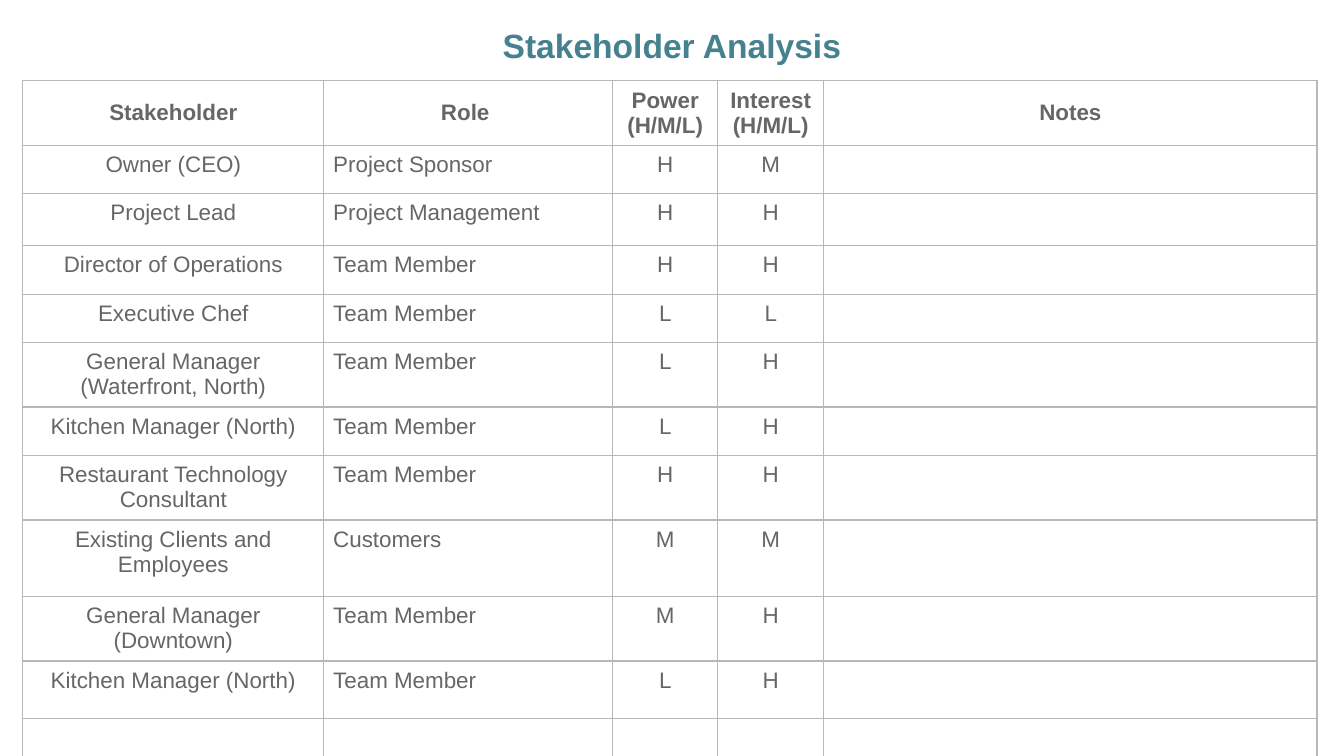
from dataclasses import dataclass
from typing import NamedTuple

from lxml.etree import SubElement
from pptx import Presentation
from pptx.dml.color import RGBColor
from pptx.enum.text import MSO_ANCHOR, PP_ALIGN
from pptx.oxml.ns import qn
from pptx.util import Inches, Pt


@dataclass(frozen=True)
class Theme:
    font: str = "Arial"
    title: str = "45818E"
    text: str = "666666"
    line: str = "B7B7B7"
    head_size: int = 18
    body_size: int = 12
    rule: float = 0.75


class Row(NamedTuple):
    name: str = ""
    role: str = ""
    power: str = ""
    interest: str = ""
    notes: str = ""
    height: float = 0.36


THEME = Theme()
WIDTHS = (2.24, 2.15, 0.78, 0.79, 3.67)
ROWS = (
    Row("Stakeholder", "Role ", "Power (H/M/L)", "Interest (H/M/L)", "Notes", 0.48),
    Row("Owner (CEO)", "Project Sponsor", "H", "M"),
    Row("Project Lead", "Project Management", "H", "H", height=0.39),
    Row("Director of Operations", "Team Member", "H", "H"),
    Row("Executive Chef", "Team Member", "L", "L"),
    Row("General Manager (Waterfront, North)", "Team Member", "L", "H", height=0.48),
    Row("Kitchen Manager (North)", "Team Member", "L", "H"),
    Row("Restaurant Technology Consultant", "Team Member", "H", "H", height=0.48),
    Row("Existing Clients and Employees", "Customers", "M", "M", height=0.57),
    Row("General Manager (Downtown)", "Team Member", "M", "H", height=0.48),
    Row("Kitchen Manager (North)", "Team Member", "L", "H", height=0.43),
    Row(height=0.43),
    Row(height=0.43),
)


def style(par, size: int, color: str, bold: bool, align) -> None:
    par.alignment = align
    font = par.font
    font.name, font.size, font.bold = THEME.font, Pt(size), bold
    font.color.rgb = RGBColor.from_string(color)


def frame(cell) -> None:
    """Rule all four sides of a cell; borders come before the fill."""
    props = cell._tc.get_or_add_tcPr()
    for side in ("lnL", "lnR", "lnT", "lnB"):
        line = SubElement(props, qn(f"a:{side}"), w=str(Pt(THEME.rule)))
        fill = SubElement(line, qn("a:solidFill"))
        SubElement(fill, qn("a:srgbClr"), val=THEME.line)
    cell.fill.background()


def fill_cell(cell, text: str, head: bool, left: bool) -> None:
    cell.margin_left = cell.margin_right = Inches(0.07)
    cell.margin_top = cell.margin_bottom = Inches(0.05)
    cell.vertical_anchor = MSO_ANCHOR.MIDDLE if head else MSO_ANCHOR.TOP
    cell.text = text
    align = PP_ALIGN.LEFT if left else PP_ALIGN.CENTER
    style(cell.text_frame.paragraphs[0], THEME.body_size, THEME.text, head, align)
    frame(cell)


def add_grid(slide) -> None:
    high = sum(row.height for row in ROWS)
    grid = slide.shapes.add_table(
        len(ROWS), len(WIDTHS), Inches(0.17), Inches(0.6),
        Inches(sum(WIDTHS)), Inches(high)).table
    grid.first_row = grid.horz_banding = False
    for col, width in zip(grid.columns, WIDTHS):
        col.width = Inches(width)
    for r, row in enumerate(ROWS):
        grid.rows[r].height = Inches(row.height)
        for c, text in enumerate(row[:len(WIDTHS)]):
            fill_cell(grid.cell(r, c), text, r == 0, r > 0 and c == 1)


def add_title(slide, text: str) -> None:
    box = slide.shapes.add_textbox(
        Inches(0.83), Inches(0.04), Inches(8.34), Inches(0.5)).text_frame
    box.word_wrap = True
    box.margin_left = box.margin_right = Inches(0.1)
    box.margin_top = box.margin_bottom = Inches(0.1)
    box.text = text
    par = box.paragraphs[0]
    par.line_spacing = 1.15
    style(par, THEME.head_size, THEME.title, True, PP_ALIGN.CENTER)


def main() -> None:
    deck = Presentation()
    # Widescreen, 16 by 9
    deck.slide_width = Inches(10)
    deck.slide_height = Inches(10 * 9 / 16)
    slide = deck.slides.add_slide(deck.slide_layouts[6])
    # Stakeholder table, then the heading above it
    add_grid(slide)
    add_title(slide, "Stakeholder Analysis")
    deck.save("out.pptx")


if __name__ == "__main__":
    main()
